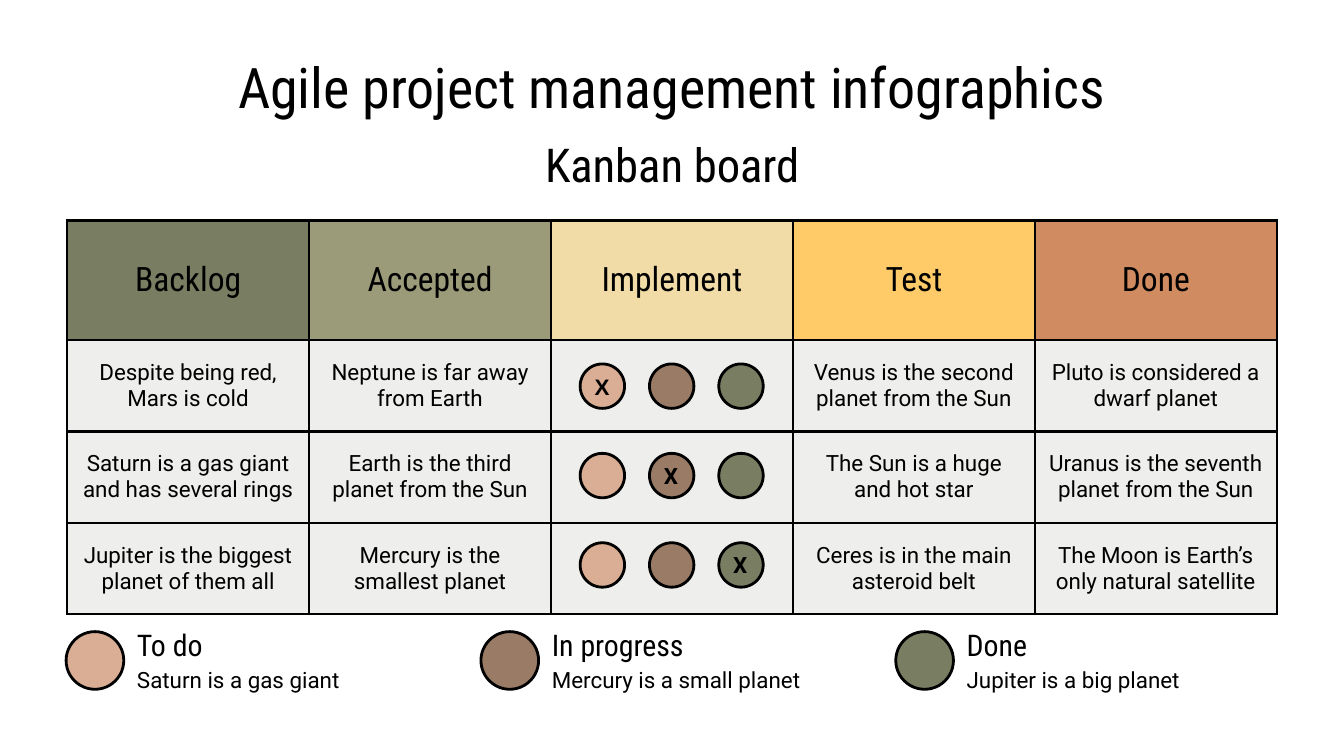
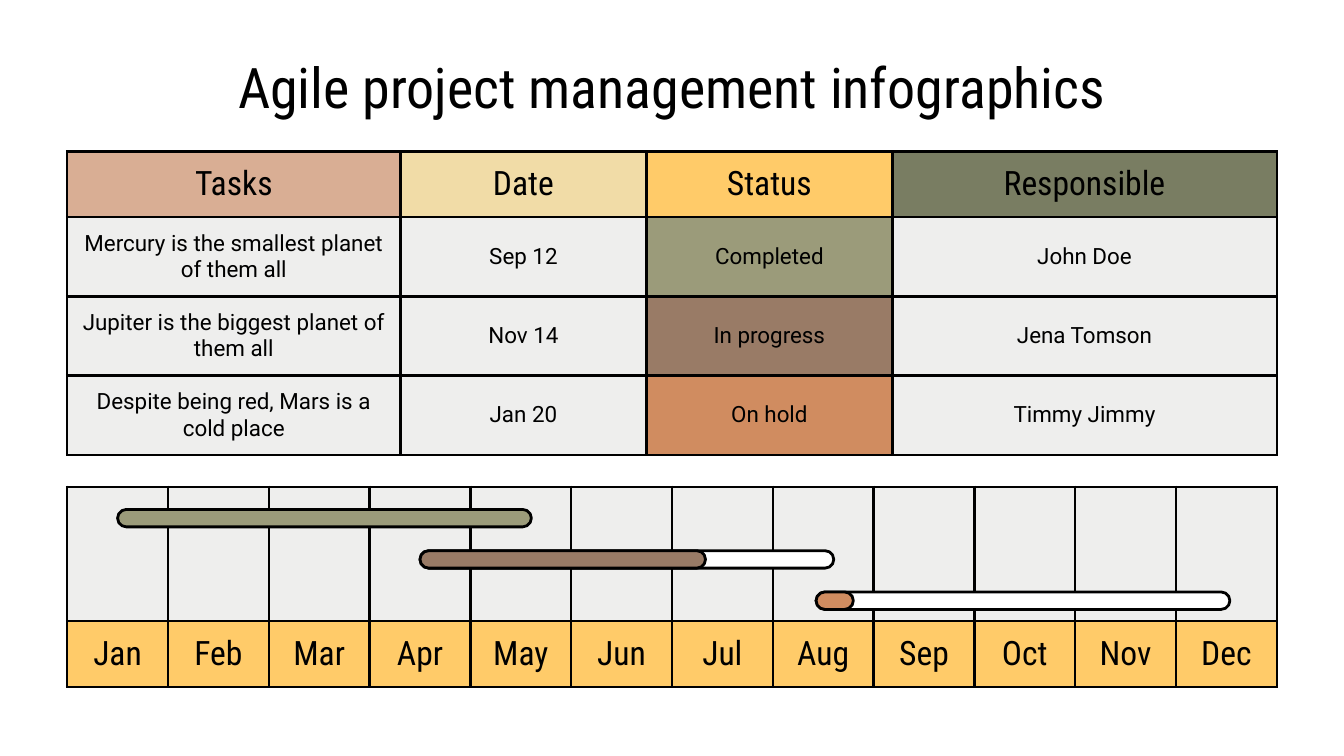
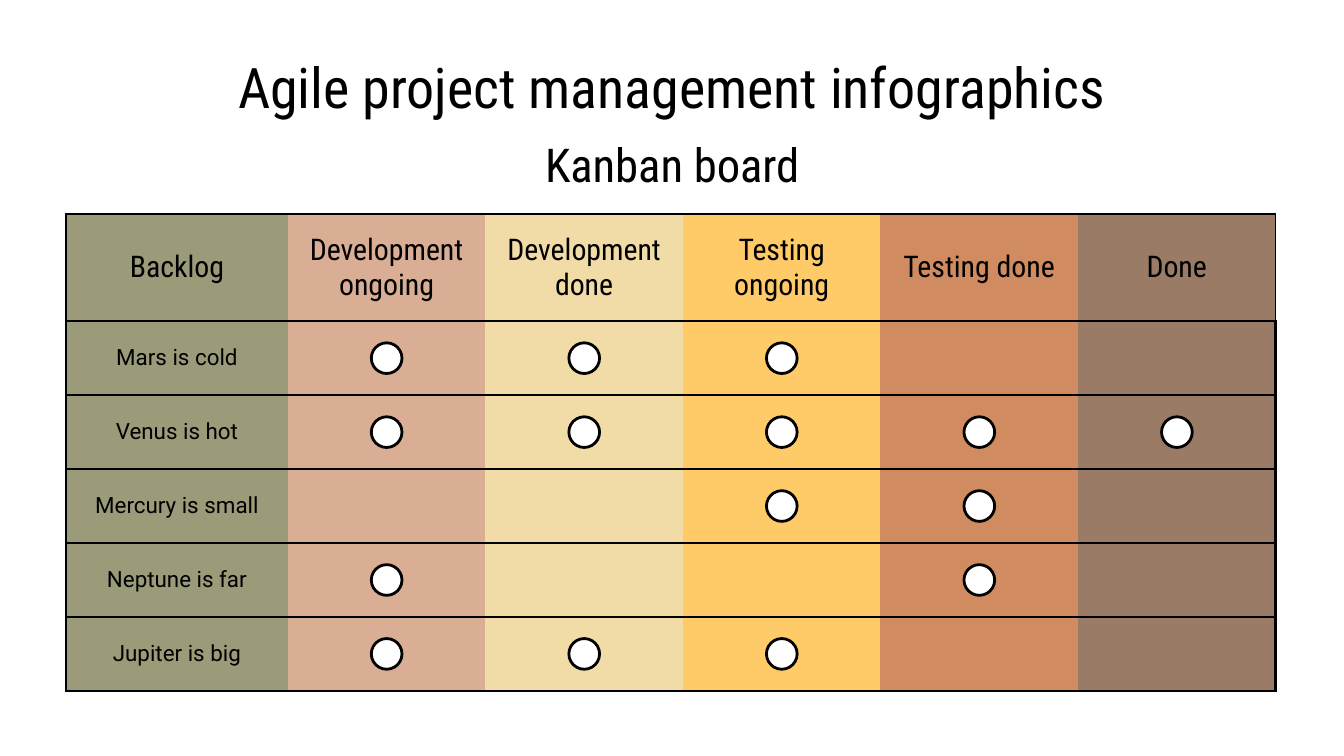
from dataclasses import dataclass

from lxml import etree
from pptx import Presentation
from pptx.dml.color import RGBColor
from pptx.enum.shapes import MSO_SHAPE
from pptx.enum.text import MSO_ANCHOR, MSO_AUTO_SIZE, PP_ALIGN
from pptx.oxml.ns import qn
from pptx.util import Cm, Pt

OVAL, PILL = MSO_SHAPE.OVAL, MSO_SHAPE.ROUNDED_RECTANGLE
LEFT, CENTER = PP_ALIGN.LEFT, PP_ALIGN.CENTER
TOP, MIDDLE = MSO_ANCHOR.TOP, MSO_ANCHOR.MIDDLE
TITLE_ONLY = 5


@dataclass(frozen=True)
class Theme:
    ink: str = "000000"
    white: str = "FFFFFF"
    grey: str = "EEEEED"
    olive: str = "797D62"
    sage: str = "9B9B7A"
    cream: str = "F1DCA7"
    yellow: str = "FFCB69"
    orange: str = "D08C60"
    peach: str = "D9AE94"
    brown: str = "997B66"
    head_font: str = "Roboto Condensed"
    body_font: str = "Roboto"
    mark_font: str = "Arial"
    title: float = 30
    subtitle: float = 25
    head: float = 18
    label: float = 16
    body: float = 12
    line: float = 1.5
    thin_line: float = 0.75
    inset: float = 0.25


@dataclass(frozen=True)
class Box:
    left: float
    top: float
    width: float
    height: float

    def place(self):
        return Cm(self.left), Cm(self.top), Cm(self.width), Cm(self.height)

    def inner(self, left, top, width, height):
        return Box(self.left + left, self.top + top, width, height)


THEME = Theme()
TITLE_BOX = Box(1.27, 0.74, 22.86, 1.6)
SUBTITLE_BOX = Box(3.33, 2.31, 18.75, 1.57)
STATUS_COLORS = (THEME.peach, THEME.brown, THEME.olive)


def write(holder, text, size=THEME.body, font=THEME.body_font, align=CENTER,
          anchor=MIDDLE, bold=False, left_inset=THEME.inset):
    holder.margin_left = Cm(left_inset)
    holder.margin_right = holder.margin_top = holder.margin_bottom = Cm(THEME.inset)
    holder.vertical_anchor = anchor
    frame = getattr(holder, "text_frame", holder)
    frame.word_wrap = True
    para = frame.paragraphs[0]
    para.alignment = align
    span = para.add_run()
    span.text = text
    span.font.name = font
    span.font.size = Pt(size)
    span.font.bold = bold
    span.font.color.rgb = RGBColor.from_string(THEME.ink)


def add_text(shapes, box, text, **style):
    write(shapes.add_textbox(*box.place()).text_frame, text, **style)


def add_figure(shapes, kind, box, fill):
    figure = shapes.add_shape(kind, *box.place())
    figure.shadow.inherit = False
    figure.fill.solid()
    figure.fill.fore_color.rgb = RGBColor.from_string(fill)
    figure.line.color.rgb = RGBColor.from_string(THEME.ink)
    figure.line.width = Pt(THEME.line)
    return figure


def add_disc(shapes, center_x, center_y, size, fill):
    box = Box(center_x - size / 2, center_y - size / 2, size, size)
    return add_figure(shapes, OVAL, box, fill)


def all_edges(row, col):
    return dict.fromkeys("LRTB", THEME.line)


def draw_edges(cell, widths):
    properties = cell._tc.get_or_add_tcPr()
    for side in "LRTB":
        edge = etree.SubElement(properties, qn(f"a:ln{side}"))
        if side in widths:
            edge.set("w", str(Pt(widths[side])))
            paint = etree.SubElement(edge, qn("a:solidFill"))
            etree.SubElement(paint, qn("a:srgbClr"), val=THEME.ink)
        else:
            etree.SubElement(edge, qn("a:noFill"))


def split(total, weights):
    return [total * weight / sum(weights) for weight in weights]


def add_grid(page, box, columns, lines, rows, fill_of, edges_of=all_edges,
             head_row=0, head_size=THEME.head):
    table = page.shapes.add_table(len(lines), len(columns), *box.place()).table
    table.first_row = table.horz_banding = False
    for column, width in zip(table.columns, split(box.width, columns)):
        column.width = Cm(width)
    for line, height in zip(table.rows, split(box.height, lines)):
        line.height = Cm(height)
    for row, texts in enumerate(rows):
        style = {"size": head_size, "font": THEME.head_font} if row == head_row else {}
        for col, text in enumerate(texts):
            cell = table.cell(row, col)
            draw_edges(cell, edges_of(row, col))
            cell.fill.solid()
            cell.fill.fore_color.rgb = RGBColor.from_string(fill_of(row, col))
            if text:
                write(cell, text, **style)


def add_page(deck):
    page = deck.slides.add_slide(deck.slide_layouts[TITLE_ONLY])
    title = page.shapes.title
    title.left, title.top, title.width, title.height = TITLE_BOX.place()
    title.text_frame.auto_size = MSO_AUTO_SIZE.NONE
    write(title.text_frame, "Agile project management infographics",
          size=THEME.title, font=THEME.head_font, anchor=TOP)
    return page


def add_subtitle(page):
    add_text(page.shapes, SUBTITLE_BOX, "Kanban board", size=THEME.subtitle,
             font=THEME.head_font, anchor=TOP)


def add_status_marks(page, box):
    size, step_x, step_y = 0.84, 1.31, 1.69
    marks = ((THEME.mark_font, CENTER), (THEME.body_font, LEFT), (THEME.body_font, LEFT))
    for row, (font, align) in enumerate(marks):
        group = page.shapes.add_group_shape()
        for col, color in enumerate(STATUS_COLORS):
            disc = add_disc(group.shapes, box.left + box.width / 2 + (col - 1) * step_x,
                            box.top + 0.87 + row * step_y, size, color)
            if col == row:
                write(disc.text_frame, "X", font=font, align=align, bold=True,
                      left_inset=0.15)


def add_legend(page, box):
    entries = (("To do", "Saturn is a gas giant"),
               ("In progress", "Mercury is a small planet"),
               ("Done", "Jupiter is a big planet"))
    disc, step, width = 1.09, 7.84, 6.12
    for index, ((name, note), color) in enumerate(zip(entries, STATUS_COLORS)):
        shapes = page.shapes.add_group_shape().shapes
        left = index * step
        add_text(shapes, box.inner(left + disc, 0.76, width, 0.58), note, align=LEFT)
        add_text(shapes, box.inner(left + disc, 0, width, 0.79), name, align=LEFT,
                 size=THEME.label, font=THEME.head_font)
        add_figure(shapes, OVAL, box.inner(left, 0.15, disc, disc), color)


def build_status_board(deck):
    page = add_page(deck)
    board = Box(1.27, 4.17, 22.86, 7.44)
    heads = (THEME.olive, THEME.sage, THEME.cream, THEME.yellow, THEME.orange)
    rows = (
        ("Backlog", "Accepted", "Implement", "Test", "Done"),
        ("Despite being red, Mars is cold", "Neptune is far away from Earth", "",
         "Venus is the second planet from the Sun", "Pluto is considered a dwarf planet"),
        ("Saturn is a gas giant and has several rings",
         "Earth is the third planet from the Sun", "",
         "The Sun is a huge and hot star", "Uranus is the seventh planet from the Sun"),
        ("Jupiter is the biggest planet of them all", "Mercury is the smallest planet", "",
         "Ceres is in the main asteroid belt", "The Moon is Earth’s only natural satellite"),
    )
    add_grid(page, board, [1] * 5, [0.89] + [0.68] * 3, rows,
             lambda row, col: THEME.grey if row else heads[col])
    add_status_marks(page, board.inner(9.14, 2.26, 4.57, 5.18))
    add_legend(page, Box(1.25, 11.79, 22.9, 1.35))
    add_subtitle(page)


def add_timeline(page, box):
    months = "Jan Feb Mar Apr May Jun Jul Aug Sep Oct Nov Dec".split()
    add_grid(page, box, [1] * 12, [1, 0.48], ([""] * 12, months),
             lambda row, col: THEME.yellow if row else THEME.grey, head_row=1)
    month = box.width / len(months)
    length, height, step = 7.82, 0.33, 0.78
    bars = ((0.5, 1, THEME.sage), (3.5, 0.69, THEME.brown), (7.43, 0.09, THEME.orange))
    for index, (start, progress, color) in enumerate(bars):
        layers = [(progress, color)]
        if progress < 1:
            layers.insert(0, (1, THEME.white))
        for share, fill in layers:
            place = box.inner(start * month, 0.43 + index * step, length * share, height)
            add_figure(page.shapes, PILL, place, fill).adjustments[0] = 0.5


def add_task_list(page, box):
    heads = (THEME.peach, THEME.cream, THEME.yellow, THEME.olive)
    states = (THEME.sage, THEME.brown, THEME.orange)
    rows = (
        ("Tasks", "Date", "Status", "Responsible"),
        ("Mercury is the smallest planet of them all", "Sep 12", "Completed", "John Doe"),
        ("Jupiter is the biggest planet of them all", "Nov 14", "In progress", "Jena Tomson"),
        ("Despite being red, Mars is a cold place", "Jan 20", "On hold", "Timmy Jimmy"),
    )

    def fill_of(row, col):
        if row == 0:
            return heads[col]
        return states[row - 1] if col == 2 else THEME.grey

    add_grid(page, box, [2.48, 1.83, 1.83, 2.86], [0.42] + [0.59] * 3, rows, fill_of)


def build_schedule(deck):
    page = add_page(deck)
    add_timeline(page, Box(1.27, 9.2, 22.86, 3.76))
    add_task_list(page, Box(1.27, 2.86, 22.86, 5.56))


def build_progress_board(deck):
    page = add_page(deck)
    board = Box(1.25, 4.04, 22.86, 9.02)
    columns, lines = [1.65] + [1.47] * 5, [0.8] + [0.55] * 5
    colors = (THEME.sage, THEME.peach, THEME.cream, THEME.yellow, THEME.orange, THEME.brown)
    heads = ("Backlog", "Development ongoing", "Development done", "Testing ongoing",
             "Testing done", "Done")
    tasks = (("Mars is cold", (1, 2, 3)), ("Venus is hot", (1, 2, 3, 4, 5)),
             ("Mercury is small", (3, 4)), ("Neptune is far", (1, 4)),
             ("Jupiter is big", (1, 2, 3)))

    def edges_of(row, col):
        edges = {"T": THEME.line, "B": THEME.line}
        if col == 0:
            edges["L"] = THEME.line
        if col == len(heads) - 1:
            edges["R"] = THEME.line if row else THEME.thin_line
        return edges

    rows = [heads] + [(task,) + ("",) * 5 for task, _ in tasks]
    add_grid(page, board, columns, lines, rows, lambda row, col: colors[col],
             edges_of=edges_of, head_size=THEME.label)
    widths, heights = split(board.width, columns), split(board.height, lines)
    for row, (_, stages) in enumerate(tasks, 1):
        for col in stages:
            add_disc(page.shapes, board.left + sum(widths[:col]) + widths[col] / 2,
                     board.top + sum(heights[:row]) + heights[row] / 2, 0.58, THEME.white)
    add_subtitle(page)


def main():
    deck = Presentation()
    deck.slide_width, deck.slide_height = Cm(25.4), Cm(14.29)
    build_status_board(deck)
    build_schedule(deck)
    build_progress_board(deck)
    deck.save("out.pptx")


if __name__ == "__main__":
    main()
